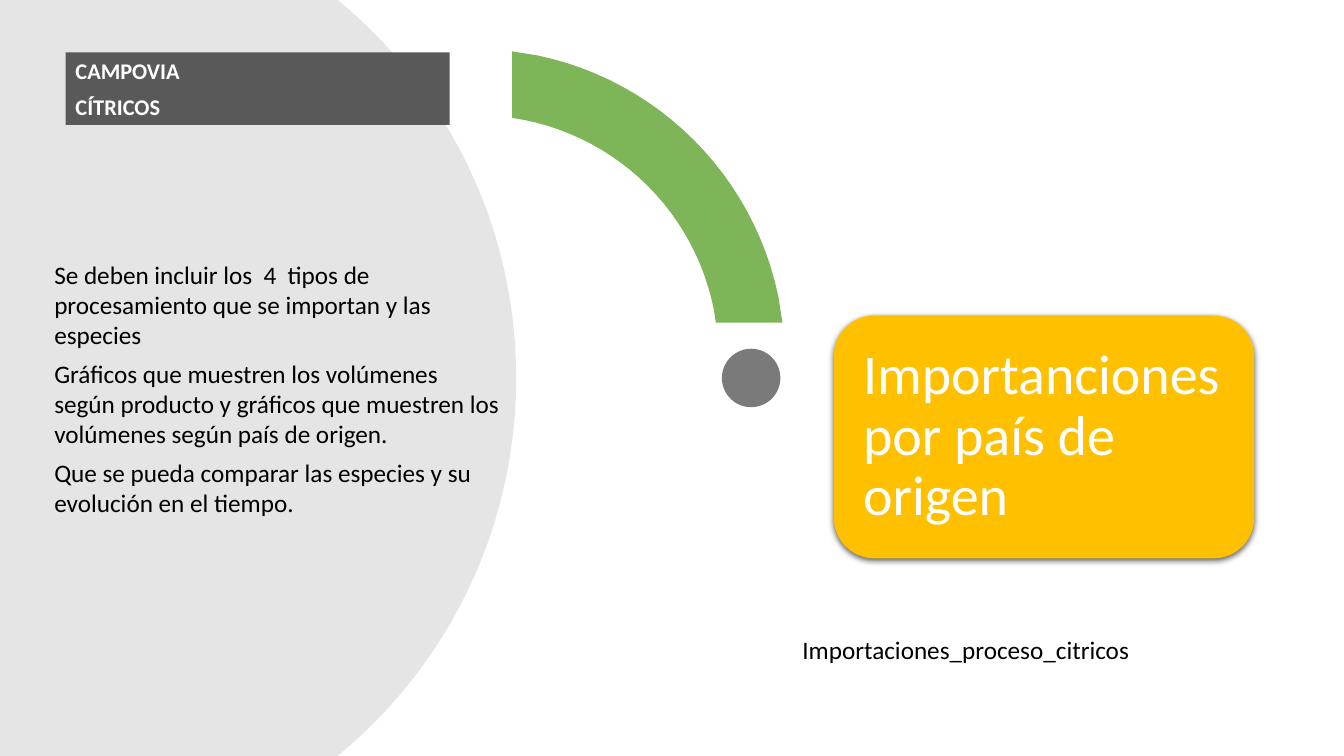
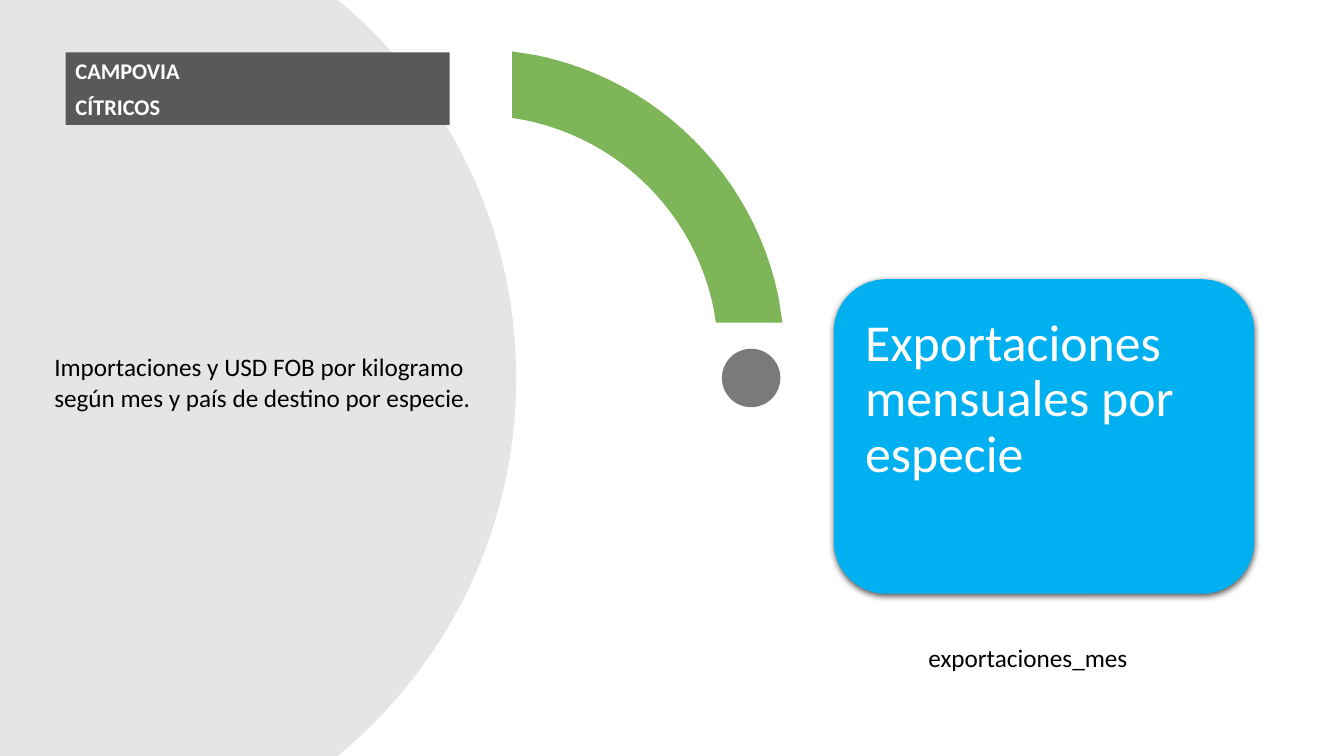
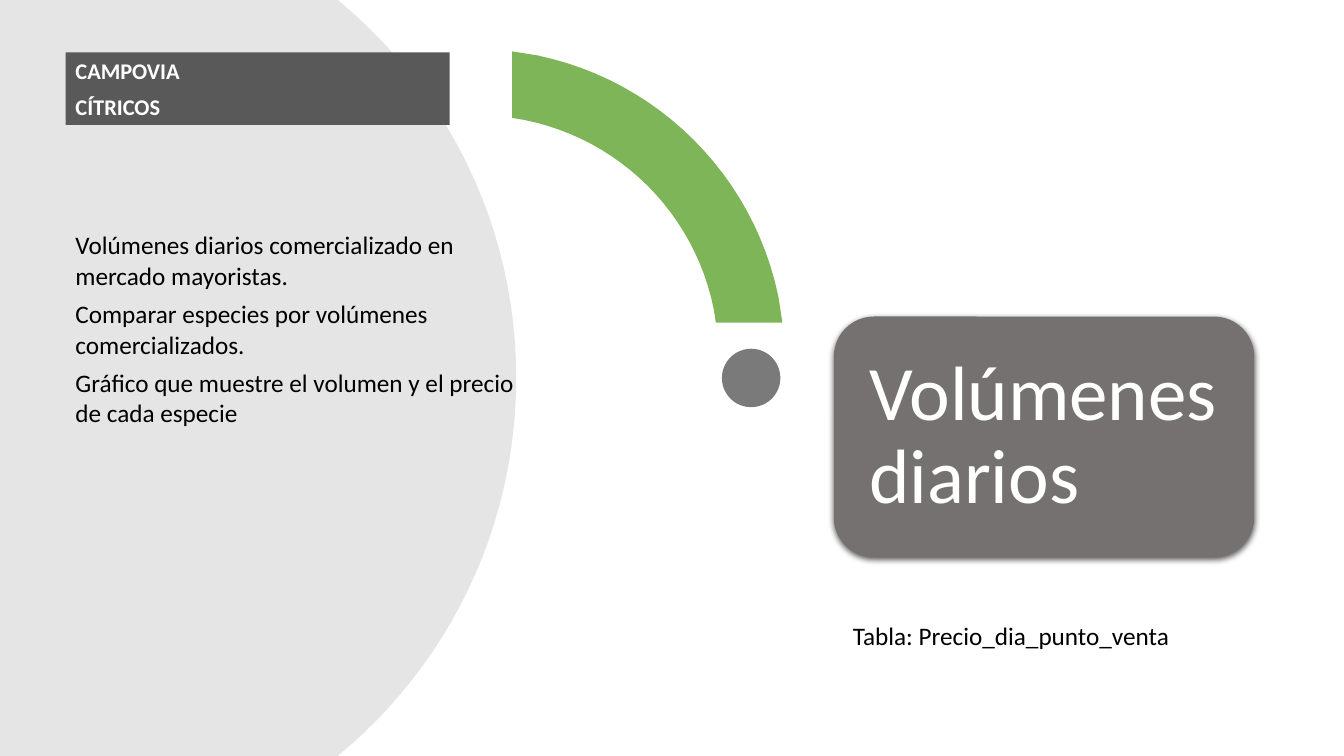
"""Build three citrus trade slides that share one frame: disc, arc, dot and header."""
from lxml import etree
from pptx import Presentation
from pptx.dml.color import RGBColor
from pptx.enum.shapes import MSO_SHAPE
from pptx.enum.text import MSO_ANCHOR, MSO_AUTO_SIZE, PP_ALIGN
from pptx.oxml.ns import qn
from pptx.util import Inches, Pt

OVAL, RECT, ROUNDED = MSO_SHAPE.OVAL, MSO_SHAPE.RECTANGLE, MSO_SHAPE.ROUNDED_RECTANGLE
TOP, MIDDLE = MSO_ANCHOR.TOP, MSO_ANCHOR.MIDDLE
LEFT = PP_ALIGN.LEFT
FIXED = MSO_AUTO_SIZE.NONE

WHITE = RGBColor(0xFF, 0xFF, 0xFF)
BLACK = RGBColor(0x00, 0x00, 0x00)
DISC_GRAY = RGBColor(0x80, 0x80, 0x80)
DARK_GRAY = RGBColor(0x59, 0x59, 0x59)
GREEN = RGBColor(0x70, 0xAD, 0x47)
AMBER = RGBColor(0xFF, 0xC0, 0x00)
SKY = RGBColor(0x00, 0xB0, 0xF0)
WARM_GRAY = RGBColor(0x76, 0x71, 0x71)
FONT = "Calibri"

HEADER = ["CAMPOVIA", "CÍTRICOS"]
HEADER_BOX = (0.65, 0.52, 3.81, 0.72)
DOT_BOX = (7.16, 3.46, 0.58, 0.58)
CARD_LEFT, CARD_WIDTH = 8.27, 4.17
CURVE_STEPS = 24

DISC = [(0, 0), (3.35, 0), (4.43, 0.89, 5.12, 2.24, 5.12, 3.75),
        (5.12, 5.26, 4.43, 6.61, 3.35, 7.5), (0, 7.5)]
ARC = [(5.08, 0.51), (5.33, 0.55), (6.53, 0.8, 7.47, 1.74, 7.72, 2.94), (7.76, 3.2),
       (7.1, 3.2), (7.08, 3.07), (6.89, 2.12, 6.15, 1.38, 5.2, 1.19), (5.08, 1.17)]

SLIDES = [
    {
        "notes": ["Se deben incluir los  4  tipos de procesamiento que se importan y las especies",
                  "Gráficos que muestren los volúmenes según producto y gráficos que muestren "
                  "los volúmenes según país de origen.",
                  "Que se pueda comparar las especies y su evolución en el tiempo."],
        "notes_box": (0.44, 2.52, 4.64, 2.69),
        "title": "Importanciones por país de origen",
        "title_box": (8.39, 3.25, 3.93, 2.17), "title_size": 40, "title_inset": 0.17,
        "card_top": 3.13, "card_height": 2.41, "card_color": AMBER,
        "table_name": "Importaciones_proceso_citricos",
        "table_box": (7.86, 6.24, 4.71, 0.4),
    },
    {
        "notes": ["Importaciones y USD FOB por kilogramo según mes y país de destino por especie."],
        "notes_box": (0.44, 3.44, 4.64, 0.71),
        "title": "Exportaciones mensuales por especie",
        "title_box": (8.43, 2.93, 3.86, 2.08), "title_size": 37, "title_inset": 0.15,
        "card_top": 2.77, "card_height": 3.12, "card_color": SKY,
        "table_name": "exportaciones_mes",
        "table_box": (9.11, 6.32, 4, 0.4),
    },
    {
        "notes": ["Volúmenes diarios comercializado en mercado mayoristas.",
                  "Comparar especies por volúmenes comercializados.",
                  "Gráfico que muestre el volumen y el precio de cada especie"],
        "notes_box": (0.65, 2.23, 4.64, 2.09),
        "title": "Volúmenes diarios",
        "title_box": (8.39, 3.26, 3.94, 2.16), "title_size": 55, "title_inset": 0.23,
        "card_top": 3.14, "card_height": 2.39, "card_color": WARM_GRAY,
        "table_name": "Tabla: Precio_dia_punto_venta",
        "table_box": (8.36, 6.1, 3.55, 0.4),
    },
]


def inches(values):
    return [Inches(value) for value in values]


def paint(shape, color, opacity=100):
    shape.shadow.inherit = False
    shape.line.fill.background()
    shape.fill.solid()
    shape.fill.fore_color.rgb = color
    if opacity < 100:
        color_node = shape.element.spPr.find(qn("a:solidFill"))[0]
        etree.SubElement(color_node, qn("a:alpha"), val=str(opacity * 1000))


def cast_shadow(shape):
    effects = shape.element.spPr.find(qn("a:effectLst"))
    shadow = etree.SubElement(effects, qn("a:outerShdw"), blurRad=str(Pt(4.5)),
                              dist=str(Pt(1.5)), dir="5400000", algn="ctr", rotWithShape="0")
    tint = etree.SubElement(shadow, qn("a:srgbClr"), val="000000")
    etree.SubElement(tint, qn("a:alpha"), val="63000")


def write(shape, lines, size, color, bold=False, after=0, spacing=1.0,
          anchor=TOP, inset=None):
    frame = shape.text_frame
    frame.word_wrap = True
    frame.auto_size = FIXED
    frame.vertical_anchor = anchor
    if inset is not None:
        frame.margin_left = frame.margin_right = Inches(inset)
        frame.margin_top = frame.margin_bottom = Inches(inset)
    for index, line in enumerate(lines):
        paragraph = frame.add_paragraph() if index else frame.paragraphs[0]
        paragraph.alignment = LEFT
        paragraph.space_after = Pt(after)
        paragraph.line_spacing = spacing
        run = paragraph.add_run()
        run.text = line
        run.font.name, run.font.size, run.font.bold = FONT, Pt(size), bold
        run.font.color.rgb = color


def outline_points(outline):
    """Turn corners and cubic curves into a list of points."""
    points = [outline[0]]
    for step in outline[1:]:
        if len(step) == 2:
            points.append(step)
            continue
        controls = [points[-1], step[:2], step[2:4], step[4:]]
        for i in range(1, CURVE_STEPS + 1):
            t = i / CURVE_STEPS
            weights = ((1 - t) ** 3, 3 * t * (1 - t) ** 2, 3 * t * t * (1 - t), t ** 3)
            points.append(tuple(sum(w * c[axis] for w, c in zip(weights, controls))
                                for axis in (0, 1)))
    return points


def add_outline(slide, outline, color, opacity):
    start, *rest = [inches(point) for point in outline_points(outline)]
    builder = slide.shapes.build_freeform(*start)
    builder.add_line_segments(rest, close=True)
    paint(builder.convert_to_shape(), color, opacity)


def add_text(slide, box, lines, **style):
    write(slide.shapes.add_textbox(*inches(box)), lines, 18, BLACK, **style)


def add_title_card(slide, content):
    box = (CARD_LEFT, content["card_top"], CARD_WIDTH, content["card_height"])
    card = slide.shapes.add_shape(ROUNDED, *inches(box))
    paint(card, content["card_color"])
    cast_shadow(card)
    title = slide.shapes.title
    title.left, title.top, title.width, title.height = inches(content["title_box"])
    write(title, [content["title"]], content["title_size"], WHITE, spacing=0.9,
          anchor=MIDDLE, inset=content["title_inset"])
    card.element.addnext(title.element)


def add_header(slide):
    header = slide.shapes.add_shape(RECT, *inches(HEADER_BOX))
    paint(header, DARK_GRAY)
    write(header, HEADER, 16, WHITE, bold=True, after=6)


def build_slide(deck, content):
    slide = deck.slides.add_slide(deck.slide_layouts.get_by_name("Title Only"))
    add_outline(slide, DISC, DISC_GRAY, 20)
    add_outline(slide, ARC, GREEN, 90)
    paint(slide.shapes.add_shape(OVAL, *inches(DOT_BOX)), DARK_GRAY, 80)
    add_text(slide, content["notes_box"], content["notes"], after=6)
    add_title_card(slide, content)
    add_text(slide, content["table_box"], [content["table_name"]])
    add_header(slide)


def main():
    deck = Presentation()
    deck.slide_width, deck.slide_height = Inches(13.33), Inches(7.5)
    for content in SLIDES:
        build_slide(deck, content)
    deck.save("out.pptx")


if __name__ == "__main__":
    main()
